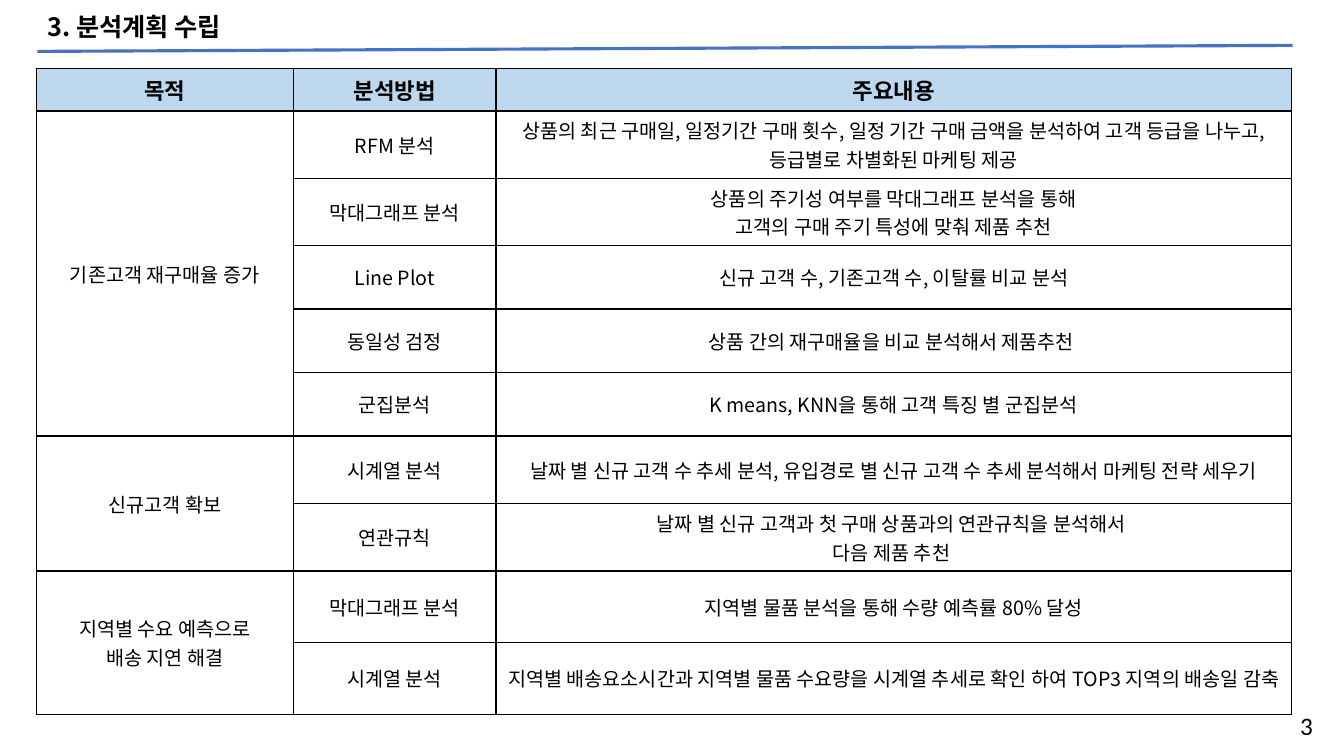
from lxml.etree import SubElement as Sub
from pptx import Presentation
from pptx.dml.color import RGBColor as Rgb
from pptx.enum.shapes import MSO_CONNECTOR as Conn
from pptx.enum.text import MSO_ANCHOR as Anchor, MSO_AUTO_SIZE as Auto, PP_ALIGN as Align
from pptx.oxml.ns import qn
from pptx.util import Inches, Pt

HUES = {"ink": "000000", "rule": "4472C4", "head": "BDD7EE"}
SANS, LATIN = "Noto Sans CJK KR", "Calibri"
COLS = [19.13, 15.08, 59.19]
ROWS = [5.2] + [8.4] * 5 + [8.93] * 2 + [9.47] * 2
HEAD = ["목적", "분석방법", "주요내용"]
PLAN = [
    ("기존고객 재구매율 증가", [
        ("RFM 분석", "상품의 최근 구매일, 일정기간 구매 횟수, 일정 기간 구매 금액을 "
                    "분석하여 고객 등급을 나누고, 등급별로 차별화된 마케팅 제공"),
        ("막대그래프 분석", "상품의 주기성 여부를 막대그래프 분석을 통해\n"
                        "고객의 구매 주기 특성에 맞춰 제품 추천"),
        ("Line Plot", "신규 고객 수, 기존고객 수, 이탈률 비교 분석"),
        ("동일성 검정", "상품 간의 재구매율을 비교 분석해서 제품추천 "),
        ("군집분석", "K means, KNN을 통해 고객 특징 별 군집분석"),
    ]),
    ("신규고객 확보", [
        ("시계열 분석", "날짜 별 신규 고객 수 추세 분석, 유입경로 별 신규 고객 수 "
                     "추세 분석해서 마케팅 전략 세우기"),
        ("연관규칙", "날짜 별 신규 고객과 첫 구매 상품과의 연관규칙을 분석해서 \n"
                  "다음 제품 추천 "),
    ]),
    ("지역별 수요 예측으로\n배송 지연 해결", [
        ("막대그래프 분석", "지역별 물품 분석을 통해 수량 예측률 80% 달성"),
        ("시계열 분석", "지역별 배송요소시간과 지역별 물품 수요량을 시계열 추세로 "
                     "확인 하여 TOP3 지역의 배송일 감축"),
    ]),
]


class Deck:
    """Hold the style and current slide, with lengths in percent of its size."""

    def __init__(self):
        self.show = Presentation()
        self.show.slide_width = Inches(13.33)
        self.show.slide_height = Inches(7.5)
        self.slide = self.show.slides.add_slide(self.show.slide_layouts[5])

    def wide(self, share):
        return round(self.show.slide_width * share / 100)

    def high(self, share):
        return round(self.show.slide_height * share / 100)

    def box(self, x, y, w, h):
        return self.wide(x), self.high(y), self.wide(w), self.high(h)

    def fill_text(self, frame, text, size, face=SANS, bold=False, align=Align.CENTER):
        frame.text = text
        frame.word_wrap = True
        for para in frame.paragraphs:
            para.alignment = align
            for run in para.runs:
                font = run.font
                font.size, font.bold, font.name = Pt(size), bold, face
                font.color.rgb = Rgb.from_string(HUES["ink"])
                Sub(run._r.get_or_add_rPr(), qn("a:ea"), typeface=SANS)

    def title(self, text, *area):
        shape = self.slide.shapes.title
        shape.left, shape.top, shape.width, shape.height = self.box(*area)
        frame = shape.text_frame
        self.fill_text(frame, text, 18, bold=True, align=Align.LEFT)
        frame.auto_size = Auto.NONE
        frame.vertical_anchor = Anchor.MIDDLE
        frame.paragraphs[0].line_spacing = 0.9

    def rule(self, x1, y1, x2, y2):
        line = self.slide.shapes.add_connector(
            Conn.STRAIGHT, self.wide(x1), self.high(y1), self.wide(x2), self.high(y2))
        line.line.color.rgb = Rgb.from_string(HUES["rule"])
        line.line.width = Pt(2.25)
        Sub(line._element.spPr, qn("a:effectLst"))

    def label(self, text, *area):
        frame = self.slide.shapes.add_textbox(*self.box(*area)).text_frame
        self.fill_text(frame, text, 18, LATIN, align=Align.RIGHT)
        frame.auto_size = Auto.SHAPE_TO_FIT_TEXT

    def cell(self, cell, text, head):
        if text:
            self.fill_text(cell.text_frame, text, 16 if head else 14,
                           LATIN if head else SANS, head)
        cell.vertical_anchor = Anchor.MIDDLE
        props = cell._tc.get_or_add_tcPr()
        for side in "LRTB":
            edge = Sub(props, qn(f"a:ln{side}"), w=str(Pt(1)))
            Sub(Sub(edge, qn("a:solidFill")), qn("a:srgbClr"), val=HUES["ink"])
        if head:
            cell.fill.solid()
            cell.fill.fore_color.rgb = Rgb.from_string(HUES["head"])
        else:
            cell.fill.background()

    def table(self, x, y):
        area = self.box(x, y, sum(COLS), sum(ROWS))
        grid = self.slide.shapes.add_table(len(ROWS), len(COLS), *area).table
        grid.horz_banding = False
        for col, share in zip(grid.columns, COLS):
            col.width = self.wide(share)
        for row, share in zip(grid.rows, ROWS):
            row.height = self.high(share)
        lines = [HEAD]
        for goal, steps in PLAN:
            top = len(lines)
            lines += [(goal if not i else "", *step) for i, step in enumerate(steps)]
            grid.cell(top, 0).merge(grid.cell(len(lines) - 1, 0))
        for r, line in enumerate(lines):
            for c, text in enumerate(line):
                self.cell(grid.cell(r, c), text, r == 0)


def main():
    deck = Deck()
    deck.rule(2.78, 6.8, 96.17, 6)
    deck.table(2.7, 9.07)
    deck.title("3. 분석계획 수립", 2.78, 1.07, 68.57, 5.47)
    deck.label("3", 91.07, 93.33, 7.35, 5.47)
    deck.show.save("out.pptx")


if __name__ == "__main__":
    main()
